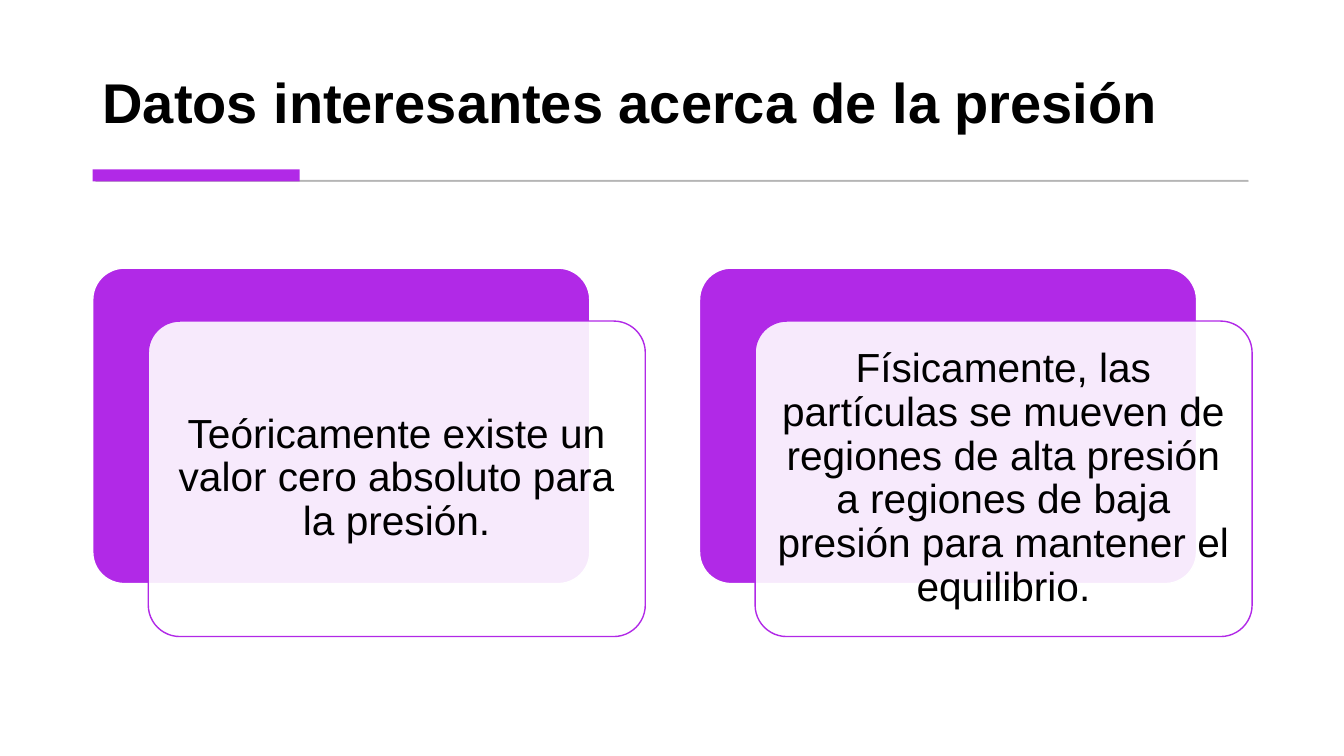
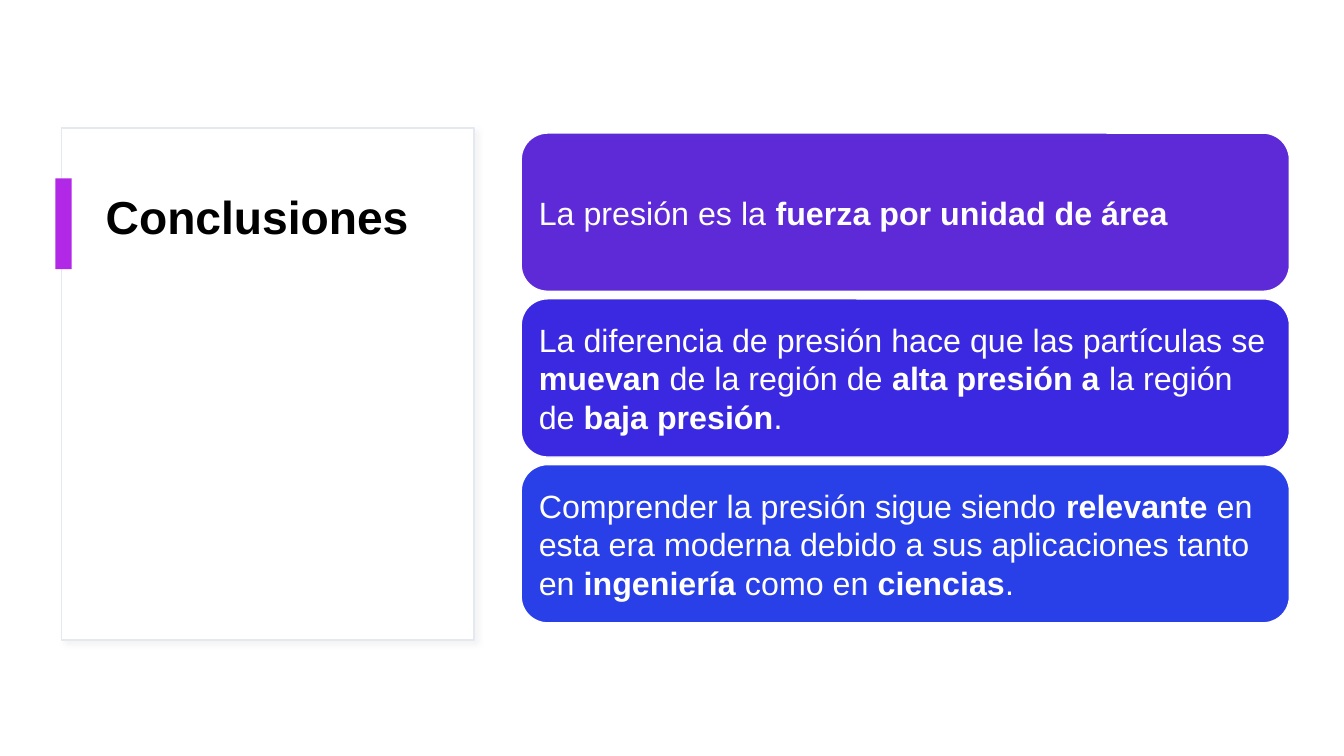
from lxml import etree
from pptx import Presentation
from pptx import util as u
from pptx.dml.color import RGBColor
from pptx.enum import shapes, text
from pptx.oxml import ns

COLORS = {
    "accent": "B129E7", "white": "FFFFFF", "black": "000000",
    "rule": "595959", "frame": "E3E9EF", "shade": "D9D9D9",
    "violet": "5E2AD8", "indigo": "3A29E0", "blue": "293FE7",
}
FONT = "Arial"
RECT = shapes.MSO_SHAPE.RECTANGLE
ROUNDED = shapes.MSO_SHAPE.ROUNDED_RECTANGLE
TOP, MIDDLE, BOTTOM = (text.MSO_ANCHOR.TOP, text.MSO_ANCHOR.MIDDLE,
                       text.MSO_ANCHOR.BOTTOM)

deck = Presentation()
deck.slide_width, deck.slide_height = u.Inches(13.33), u.Inches(7.5)
COL, ROW = deck.slide_width / 100, deck.slide_height / 100


def add_box(slide, kind, area, fill, line=None, width=1, opacity=100):
    left, top, across, down = area
    box = slide.shapes.add_shape(kind, int(left * COL), int(top * ROW),
                                 int(across * COL), int(down * ROW))
    box.shadow.inherit = False
    box.fill.solid()
    box.fill.fore_color.rgb = RGBColor.from_string(COLORS[fill])
    if line:
        box.line.color.rgb = RGBColor.from_string(COLORS[line])
        box.line.width = u.Pt(width)
    else:
        box.line.fill.background()
    if opacity < 100:
        color = box.fill._xPr.find(ns.qn("a:solidFill"))[0]
        etree.SubElement(color, ns.qn("a:alpha"), val=str(opacity * 1000))
    return box


def write(box, words, size, color, anchor, inset=None, spacing=1.0,
          align=text.PP_ALIGN.LEFT, bold=False):
    frame = box.text_frame
    frame.word_wrap = True
    frame.vertical_anchor = anchor
    if inset:
        frame.margin_left = frame.margin_right = u.Inches(inset)
        frame.margin_top = frame.margin_bottom = u.Inches(inset)
    paragraph = frame.paragraphs[0]
    paragraph.alignment = align
    paragraph.line_spacing = spacing
    for index, piece in enumerate(words.split("*")):
        if piece:
            run = paragraph.add_run()
            run.text = piece
            run.font.name = FONT
            run.font.size = u.Pt(size)
            run.font.bold = bold or index % 2 == 1
            run.font.color.rgb = RGBColor.from_string(COLORS[color])


facts = deck.slides.add_slide(deck.slide_layouts[6])
conclusions = deck.slides.add_slide(deck.slide_layouts[6])

rule = add_box(facts, RECT, (7.13, 23.87, 85.74, 0.13), "rule", "rule", 0.75, 30)
rule_color = rule.line.fill._xPr.find(ns.qn("a:solidFill"))[0]
etree.SubElement(rule_color, ns.qn("a:alpha"), val="30000")
add_box(facts, RECT, (6.9, 22.4, 15.4, 1.6), "accent")

CARD_WIDTH, CARD_HEIGHT, CARD_PITCH = 36.98, 41.73, 45.15
fact_texts = [
    "Teóricamente existe un valor cero absoluto para la presión.",
    "Físicamente, las partículas se mueven de regiones de alta presión a "
    "regiones de baja presión para mantener el equilibrio.",
]
for index, fact in enumerate(fact_texts):
    left, top = 6.9 + index * CARD_PITCH, 35.47
    back = add_box(facts, ROUNDED, (left, top, CARD_WIDTH, CARD_HEIGHT),
                   "accent", "white")
    front = add_box(facts, ROUNDED, (left + 4.13, top + 7, CARD_WIDTH, CARD_HEIGHT),
                    "white", "accent", opacity=90)
    back.adjustments[0] = front.adjustments[0] = 0.1
    write(front, fact, 29, "black", MIDDLE, 0.12, 0.9, text.PP_ALIGN.CENTER)

panel = add_box(conclusions, RECT, (4.58, 16.93, 30.68, 67.73), "white", "frame")
effects = panel._element.spPr.find(ns.qn("a:effectLst"))
shadow = etree.SubElement(effects, ns.qn("a:outerShdw"), blurRad=str(u.Pt(4)),
                          dist=str(u.Pt(3)), dir="2700000", algn="tl",
                          rotWithShape="0")
shade = etree.SubElement(shadow, ns.qn("a:srgbClr"), val=COLORS["shade"])
etree.SubElement(shade, ns.qn("a:alpha"), val="30000")
add_box(conclusions, RECT, (4.13, 23.6, 1.2, 12), "accent")

BAR_HEIGHT, BAR_PITCH = 20.93, 21.93
conclusion_texts = [
    ("violet", "La presión es la *fuerza por unidad de área*"),
    ("indigo", "La diferencia de presión hace que las partículas se *muevan* de la "
               "región de *alta presión a *la región de *baja presión*."),
    ("blue", "Comprender la presión sigue siendo *relevante* en esta era moderna "
             "debido a sus aplicaciones tanto en *ingeniería* como en *ciencias*."),
]
for index, (color, conclusion) in enumerate(conclusion_texts):
    bar = add_box(conclusions, ROUNDED,
                  (38.78, 17.6 + index * BAR_PITCH, 57.16, BAR_HEIGHT), color, "white")
    write(bar, conclusion, 23, "white", MIDDLE, 0.1)

titles = [
    (facts, "Datos interesantes acerca de la presión", 40, BOTTOM,
     (6.9, 3.73, 86.2, 14.8)),
    (conclusions, "Conclusiones", 33, TOP, (7.13, 25.07, 25.43, 51.33)),
]
for slide, words, size, anchor, (left, top, across, down) in titles:
    title = slide.shapes.add_textbox(int(left * COL), int(top * ROW),
                                     int(across * COL), int(down * ROW))
    write(title, words, size, "black", anchor, spacing=0.9, bold=True)

deck.save("out.pptx")
